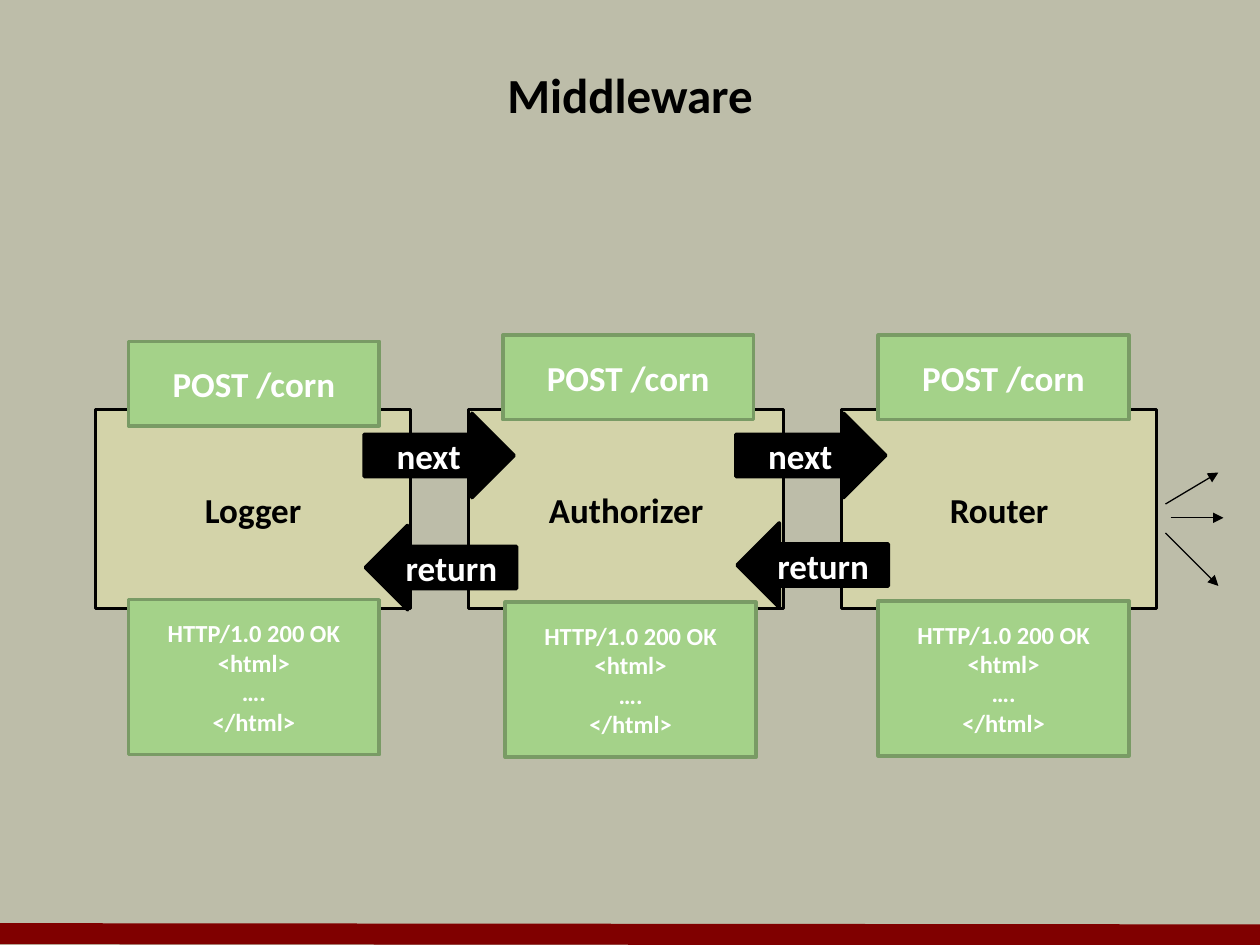
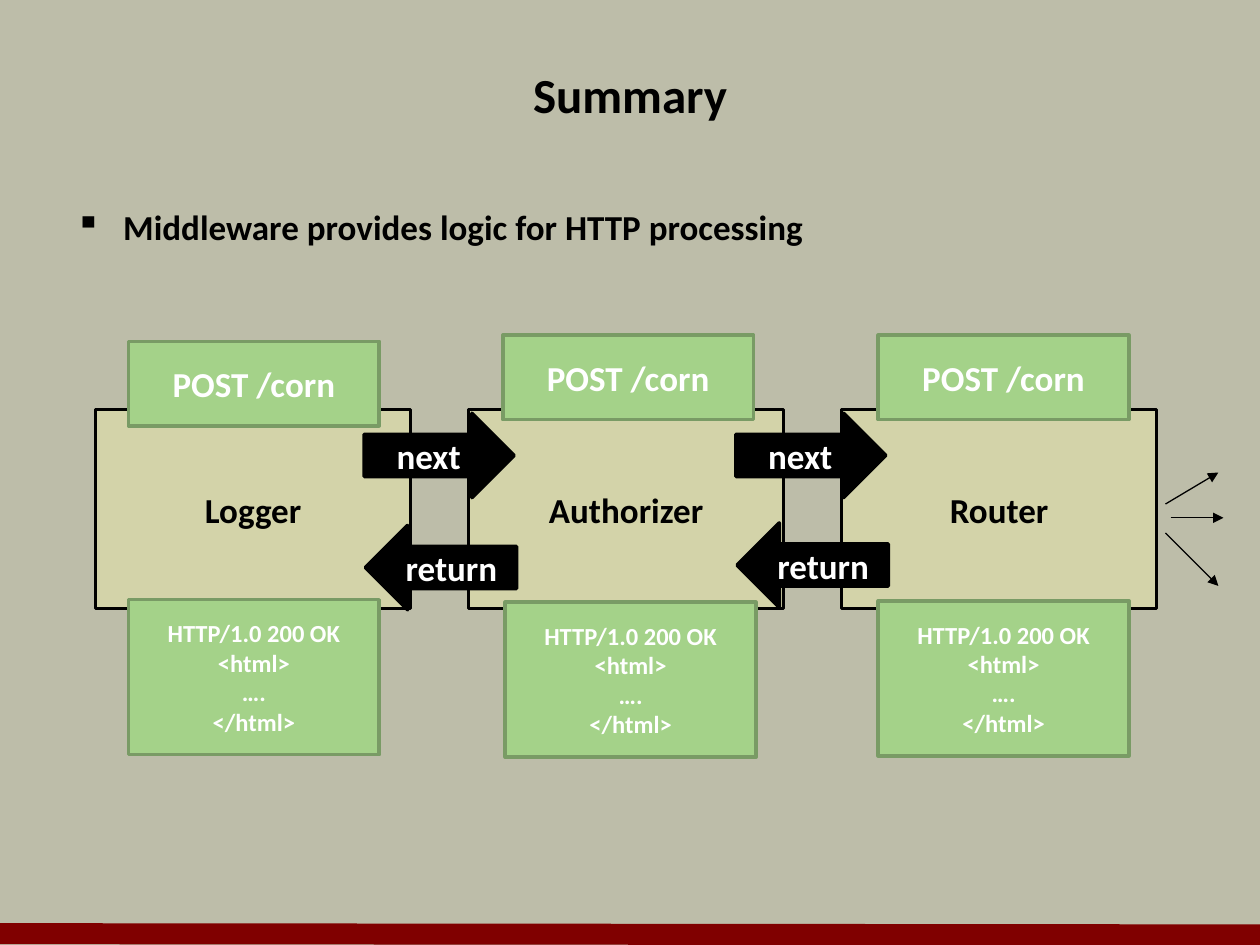
from lxml.etree import SubElement
from pptx import Presentation
from pptx.dml.color import RGBColor
from pptx.enum.shapes import MSO_CONNECTOR, MSO_SHAPE
from pptx.enum.text import MSO_ANCHOR, MSO_AUTO_SIZE, PP_ALIGN
from pptx.oxml.ns import qn
from pptx.util import Inches, Pt

COLUMNS, ROWS = 10, 7.5
FONT = "Calibri"
INK, PAPER, BAND = "000000", "BDBDA9", "800000"
STAGE, MESSAGE, MESSAGE_EDGE, LIGHT = "D3D3A9", "A4D289", "799B65", "FFFFFF"
RESPONSE = "HTTP/1.0 200 OK\n<html>\n….\n</html>"


def colour(code):
    """Turn a hex string into a colour."""
    return RGBColor.from_string(code)


class Pages:
    """Hold the deck's style and the current slide."""

    def __init__(self):
        """Start the deck and set its size and background."""
        self.deck = Presentation()
        self.deck.slide_width, self.deck.slide_height = Inches(COLUMNS), Inches(ROWS)
        fill = self.deck.slide_master.background.fill
        fill.solid()
        fill.fore_color.rgb = colour(PAPER)
        self.page = None

    def grid(self, *cells):
        """Turn alternating columns and rows into slide lengths."""
        units = (self.deck.slide_width / COLUMNS, self.deck.slide_height / ROWS)
        return [round(cell * units[index % 2]) for index, cell in enumerate(cells)]

    def set_text(self, frame, text, size, ink, align=PP_ALIGN.CENTER):
        """Put bold text in a frame."""
        frame.text = text
        for para in frame.paragraphs:
            para.alignment = align
            for span in para.runs:
                font = span.font
                font.name, font.size, font.bold = FONT, Pt(size), True
                font.color.rgb = colour(ink)

    def start(self, title):
        """Add a slide with its title and bottom band."""
        self.page = self.deck.slides.add_slide(self.deck.slide_layouts[5])
        self.line((0, 7.41), (COLUMNS, 7.42), BAND, 12)
        box = self.page.shapes.title
        box.left, box.top, box.width, box.height = self.grid(0.5, 0.33, 9, 0.83)
        frame = box.text_frame
        frame.auto_size, frame.vertical_anchor = MSO_AUTO_SIZE.NONE, MSO_ANCHOR.MIDDLE
        self.set_text(frame, title, 28, INK)

    def bullet(self, text):
        """Add the body text with a square bullet."""
        box = self.page.shapes.add_textbox(*self.grid(0.5, 1.58, 9, 4.92))
        frame = box.text_frame
        frame.word_wrap = True
        self.set_text(frame, text, 20, INK, PP_ALIGN.LEFT)
        for para in frame.paragraphs:
            properties = para._p.get_or_add_pPr()
            properties.set("marL", str(Inches(0.38)))
            properties.set("indent", str(-Inches(0.38)))
            SubElement(properties, qn("a:buChar")).set("char", "▪")

    def block(self, kind, place, text, fill, edge, ink, size=20):
        """Add a filled, outlined shape with centred text."""
        shape = self.page.shapes.add_shape(kind, *self.grid(*place))
        shape.shadow.inherit = False
        shape.fill.solid()
        shape.fill.fore_color.rgb = colour(fill)
        shape.line.color.rgb = colour(edge)
        shape.line.width = Pt(2)
        frame = shape.text_frame
        frame.word_wrap, frame.vertical_anchor = False, MSO_ANCHOR.MIDDLE
        self.set_text(frame, text, size, ink)

    def line(self, start, end, ink, weight, arrow=False):
        """Add a straight line, with an arrowhead if asked."""
        line = self.page.shapes.add_connector(
            MSO_CONNECTOR.STRAIGHT, *self.grid(*start, *end))
        line.line.color.rgb = colour(ink)
        line.line.width = Pt(weight)
        if arrow:
            SubElement(line.line._get_or_add_ln(), qn("a:tailEnd")).set("type", "triangle")
        SubElement(line._element.spPr, qn("a:effectLst"))

    def pipeline(self):
        """Draw the middleware stages with their requests and responses."""
        box = MSO_SHAPE.RECTANGLE
        for index, name in enumerate(("Logger", "Authorizer", "Router")):
            self.block(box, (0.76 + 2.96 * index, 3.25, 2.5, 1.58), name, STAGE, INK, INK)
        for index, return_top in enumerate((4.17, 4.15)):
            left = 2.89 + 2.95 * index
            self.block(MSO_SHAPE.RIGHT_ARROW, (left, 3.28, 1.19, 0.67), "next", INK, INK, LIGHT)
            self.block(MSO_SHAPE.LEFT_ARROW, (left + 0.01, return_top, 1.2, 0.67),
                       "return", INK, INK, LIGHT)
        for left, top in ((1.02, 2.71), (3.99, 2.66), (6.97, 2.66)):
            self.block(box, (left, top, 1.99, 0.67), "POST /corn", MESSAGE, MESSAGE_EDGE, LIGHT)
        for left, top in ((1.02, 4.76), (4.01, 4.78), (6.97, 4.77)):
            self.block(box, (left, top, 1.99, 1.23), RESPONSE, MESSAGE, MESSAGE_EDGE, LIGHT, 14)
        for left, top, drop in ((9.25, 4, -0.25), (9.25, 4.23, 0.42), (9.29, 4.11, 0)):
            self.line((left, top), (left + 0.42, top + drop), INK, 0.75, arrow=True)


def main():
    """Build and save both slides."""
    pages = Pages()
    pages.start("Middleware")
    pages.pipeline()
    pages.start("Summary")
    pages.bullet("Middleware provides logic for HTTP processing")
    pages.pipeline()
    pages.deck.save("out.pptx")


if __name__ == "__main__":
    main()
